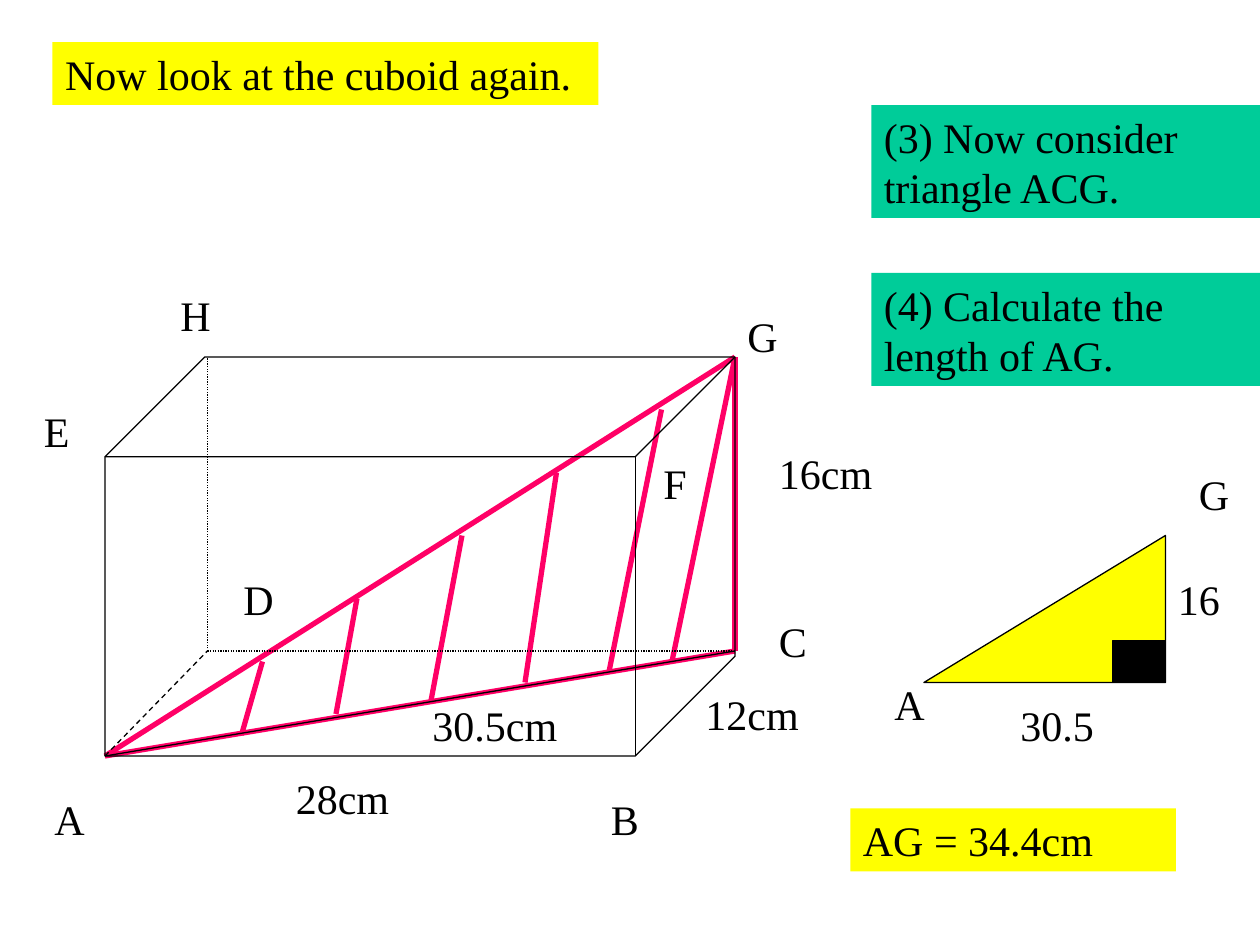
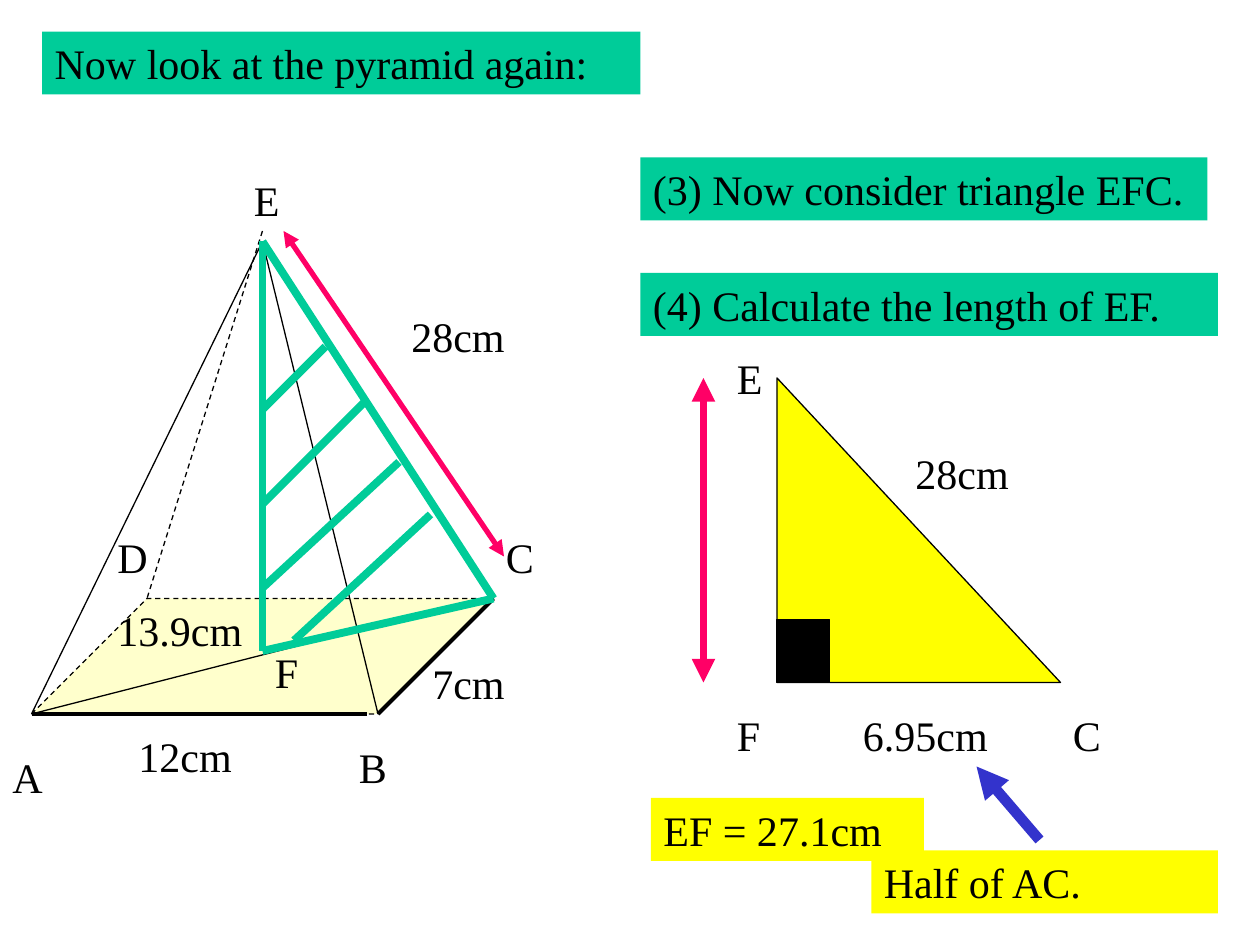
from lxml import etree
from pptx import Presentation
from pptx.dml.color import RGBColor
from pptx.enum.dml import MSO_LINE_DASH_STYLE as DASH
from pptx.enum.shapes import MSO_CONNECTOR, MSO_SHAPE
from pptx.enum.text import MSO_ANCHOR, MSO_AUTO_SIZE, PP_ALIGN
from pptx.oxml.ns import qn
from pptx.util import Emu, Pt

EMU_PER_PX = 9525
FONT = "Times New Roman"
TEXT_SIZE = 24
TITLE_ONLY = 5
LABEL_WIDTH = 56
ROW_HEIGHT = 48
COLOURS = {
    "black": "000000",
    "yellow": "FFFF00",
    "green": "00CC99",
    "cream": "FFFFCC",
    "pink": "FF0066",
    "blue": "3333CC",
}


def px(length):
    return Emu(length * EMU_PER_PX)


def colour(name):
    return RGBColor.from_string(COLOURS[name])


def fill_with(shape, name):
    shape.fill.solid()
    shape.fill.fore_color.rgb = colour(name)


def write(shape, text):
    """Set left-aligned black text in the shared font."""
    frame = shape.text_frame
    frame.text = text
    frame.word_wrap = True
    frame.auto_size = MSO_AUTO_SIZE.NONE
    frame.vertical_anchor = MSO_ANCHOR.TOP
    para = frame.paragraphs[0]
    para.alignment = PP_ALIGN.LEFT
    font = para.runs[0].font
    font.name = FONT
    font.size = Pt(TEXT_SIZE)
    font.color.rgb = colour("black")


def add_page(deck, title, box, fill):
    page = deck.slides.add_slide(deck.slide_layouts[TITLE_ONLY])
    heading = page.shapes.title
    heading.left, heading.top, heading.width, heading.height = map(px, box)
    fill_with(heading, fill)
    write(heading, title)
    return page


def add_figure(page, kind, box, fill=None, outline="black", dash=None):
    """Add a preset shape; without a fill it is see-through."""
    shape = page.shapes.add_shape(kind, *map(px, box))
    shape.shadow.inherit = False
    if fill:
        fill_with(shape, fill)
    else:
        shape.fill.background()
    if outline:
        shape.line.color.rgb = colour(outline)
        shape.line.width = Pt(0.75)
        shape.line.dash_style = dash
    else:
        shape.line.fill.background()
    return shape


def add_panel(page, text, box, fill):
    write(add_figure(page, MSO_SHAPE.RECTANGLE, box, fill, outline=None), text)


def add_labels(page, labels):
    for text, left, top, *width in labels:
        size = (*width, LABEL_WIDTH)[0], ROW_HEIGHT
        write(page.shapes.add_textbox(*map(px, (left, top, *size))), text)


def add_line(page, start, end, name="black", width=0.75, dash=None, arrows=()):
    """Draw a line; arrows lists the ends with a head: headEnd, tailEnd."""
    line = page.shapes.add_connector(
        MSO_CONNECTOR.STRAIGHT, *map(px, (*start, *end)))
    line.line.color.rgb = colour(name)
    line.line.width = Pt(width)
    line.line.dash_style = dash
    properties = line.element.spPr
    for arrow in arrows:
        etree.SubElement(properties.find(qn("a:ln")), qn(f"a:{arrow}"), type="triangle")
    etree.SubElement(properties, qn("a:effectLst"))


def add_hatched_triangle(page, corners, hatches, name, width):
    sides = zip(corners, corners[1:] + corners[:1])
    for start, end in [*sides, *hatches]:
        add_line(page, start, end, name, width)


def add_right_triangle(page, box, corner_box, mirrored=False):
    """Add a yellow right-angled triangle with a black right-angle mark."""
    triangle = add_figure(page, MSO_SHAPE.RIGHT_TRIANGLE, box, "yellow")
    if mirrored:
        triangle.element.spPr.xfrm.set("flipH", "1")
    add_figure(page, MSO_SHAPE.RECTANGLE, corner_box, "black")


def build_cuboid_page(deck):
    page = add_page(deck, "Now look at the cuboid again.", (40, 32, 416, 48), "yellow")
    a, c, g = (80, 576), (560, 496), (560, 272)
    d, h = (158, 496), (158, 272)

    hatches = [
        ((200, 504), (184, 560)),
        ((272, 456), (256, 544)),
        ((352, 408), (328, 536)),
        ((424, 360), (400, 520)),
        ((504, 312), (464, 512)),
        (g, (512, 504)),
    ]
    add_hatched_triangle(page, [a, c, g], hatches, "pink", 3)

    add_line(page, a, c)
    add_figure(page, MSO_SHAPE.CUBE, (80, 272, 480, 304))
    add_line(page, a, d, dash=DASH.DASH)
    for end in (h, c):
        add_line(page, d, end, dash=DASH.ROUND_DOT)
    add_labels(page, [
        ("A", 32, 600), ("B", 456, 600), ("C", 584, 464), ("D", 176, 432),
        ("E", 24, 304), ("F", 496, 344), ("G", 560, 232), ("H", 128, 216),
        ("28cm", 216, 584, 104), ("12cm", 528, 520, 128),
        ("16cm", 584, 336, 112), ("30.5cm", 320, 528, 144),
    ])

    add_panel(page, "(3) Now consider triangle ACG.", (664, 80, 296, 86), "green")
    add_panel(page, "(4) Calculate the length of AG.", (664, 208, 296, 86), "green")

    add_right_triangle(page, (704, 408, 184, 112), (848, 488, 40, 32), mirrored=True)
    add_labels(page, [
        ("A", 672, 512), ("G", 904, 352),
        ("30.5", 768, 528, 88), ("16", 888, 432, 72),
    ])
    add_panel(page, "AG = 34.4cm", (648, 616, 248, ROW_HEIGHT), "yellow")


def build_pyramid_page(deck):
    page = add_page(deck, "Now look at the pyramid again:", (32, 24, 456, 48), "green")
    a, b, c, d = (24, 544), (288, 544), (376, 456), (112, 456)
    e, f = (200, 184), (200, 496)
    both_ends = ("headEnd", "tailEnd")

    base = add_figure(page, MSO_SHAPE.PARALLELOGRAM, (24, 456, 352, 88),
                      "cream", dash=DASH.DASH)
    base.adjustments[0] = 1
    for corner in (a, b, c):
        add_line(page, e, corner)
    add_line(page, (200, 176), d, dash=DASH.DASH)
    add_line(page, a, (280, 544), width=2.25)
    add_line(page, b, c, width=2.25)
    add_line(page, a, (368, 456))
    add_line(page, (216, 176), (384, 424), "pink", 3, arrows=both_ends)
    add_labels(page, [
        ("A", 0, 568), ("B", 264, 560), ("C", 376, 400),
        ("D", 80, 400), ("E", 184, 128), ("F", 200, 488),
        ("12cm", 96, 552, 128), ("7cm", 320, 496, 88),
        ("28cm", 304, 232, 104), ("13.9cm", 80, 456, 120),
    ])

    hatches = [
        ((200, 312), (248, 264)),
        ((200, 384), (280, 304)),
        ((200, 448), (304, 352)),
        ((224, 488), (328, 392)),
    ]
    add_hatched_triangle(page, [e, f, c], hatches, "green", 4.5)

    add_panel(page, "(3) Now consider triangle EFC.", (488, 120, 432, ROW_HEIGHT), "green")
    add_panel(page, "(4) Calculate the length of EF.", (488, 208, 440, ROW_HEIGHT), "green")

    add_right_triangle(page, (592, 288, 216, 232), (592, 472, 40, 48))
    add_labels(page, [
        ("E", 552, 264), ("F", 552, 536), ("C", 808, 536),
        ("28cm", 688, 336, 112), ("6.95cm", 648, 536, 120),
    ])
    add_line(page, (536, 288), (536, 520), "pink", 4.5, arrows=both_ends)

    add_panel(page, "EF = 27.1cm", (496, 608, 208, ROW_HEIGHT), "yellow")
    add_line(page, (744, 584), (792, 640), "blue", 6, arrows=("headEnd",))
    add_panel(page, "Half of AC.", (664, 648, 264, ROW_HEIGHT), "yellow")


def main():
    deck = Presentation()
    deck.slide_width, deck.slide_height = px(960), px(720)
    build_cuboid_page(deck)
    build_pyramid_page(deck)
    deck.save("out.pptx")


if __name__ == "__main__":
    main()
